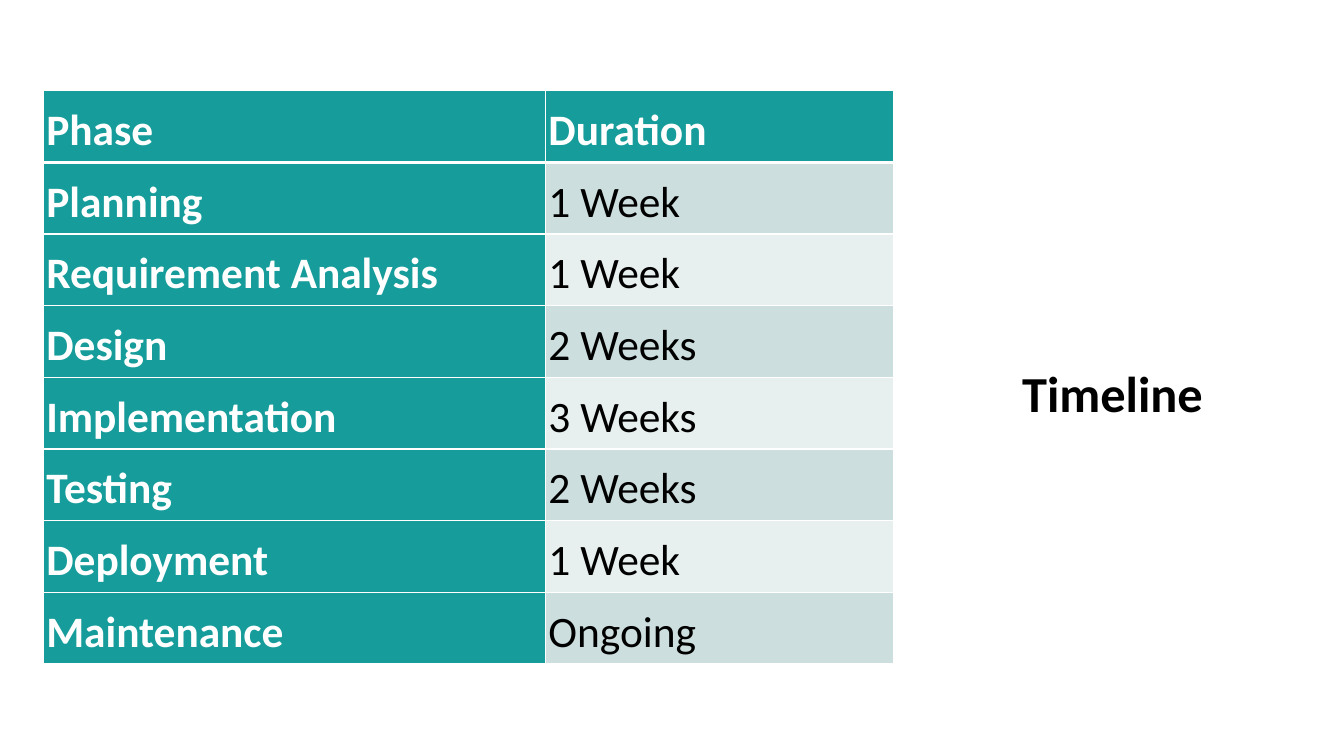
"""Build a slide with a table of project phases beside the title Timeline."""
from pptx import Presentation
from pptx.dml.color import RGBColor
from pptx.enum.text import MSO_ANCHOR, PP_ALIGN
from pptx.oxml import parse_xml
from pptx.oxml.ns import nsdecls
from pptx.util import Inches, Pt

TITLE = "Timeline"
HEADER = ("Phase", "Duration")
PHASES = [
    ("Planning", "1 Week"),
    ("Requirement Analysis", "1 Week"),
    ("Design", "2 Weeks"),
    ("Implementation", "3 Weeks"),
    ("Testing", "2 Weeks"),
    ("Deployment", "1 Week"),
    ("Maintenance", "Ongoing"),
]
THEME = {
    "font": "Calibri", "title": 36, "body": 31,
    "ink": "000000", "paper": "FFFFFF", "teal": "169C9A",
    "bands": ("CCDEDE", "E8EFEF"), "rule": 1, "thick": 3,
}
TITLE_BOX = (9.17, 1.21, 3.73, 3.04)
TABLE_BOX = (0.43, 0.9, 8.43, 5.69)
COLUMNS = (4.98, 3.45)
MARGIN = 0.03


def apply(target, values):
    for name, value in values.items():
        setattr(target, name, value)


def write(para, text, size, color, bold, align, spacing):
    apply(para, {"alignment": align, "line_spacing": spacing})
    run = para.add_run()
    run.text = text
    apply(run.font, {"name": THEME["font"], "size": Pt(size), "bold": bold})
    run.font.color.rgb = RGBColor.from_string(color)


def border(cell, row):
    widths = {"L": THEME["rule"], "R": THEME["rule"],
              "T": THEME["thick"] if row == 1 else THEME["rule"],
              "B": THEME["thick"] if row == 0 else THEME["rule"]}
    props = cell._tc.get_or_add_tcPr()
    for spot, (side, width) in enumerate(widths.items()):
        props.insert(spot, parse_xml(
            f'<a:ln{side} {nsdecls("a")} w="{Pt(width)}"><a:solidFill>'
            f'<a:srgbClr val="{THEME["paper"]}"/></a:solidFill></a:ln{side}>'))


def add_title(slide):
    frame = slide.shapes.add_textbox(*map(Inches, TITLE_BOX)).text_frame
    apply(frame, {"word_wrap": True, "vertical_anchor": MSO_ANCHOR.BOTTOM})
    write(frame.paragraphs[0], TITLE, THEME["title"], THEME["ink"], True,
          PP_ALIGN.CENTER, 0.9)


def add_phases(slide):
    rows = [HEADER, *PHASES]
    table = slide.shapes.add_table(
        len(rows), len(COLUMNS), *map(Inches, TABLE_BOX)).table
    table.first_col = True
    for column, width in zip(table.columns, COLUMNS):
        column.width = Inches(width)
    sides = ("left", "top", "right", "bottom")
    inset = {f"margin_{side}": Inches(MARGIN) for side in sides}
    for row, texts in enumerate(rows):
        for col, text in enumerate(texts):
            cell = table.cell(row, col)
            head = row == 0 or col == 0
            fill = THEME["teal"] if head else THEME["bands"][(row - 1) % 2]
            apply(cell, {"vertical_anchor": MSO_ANCHOR.MIDDLE, **inset})
            cell.fill.solid()
            cell.fill.fore_color.rgb = RGBColor.from_string(fill)
            border(cell, row)
            write(cell.text_frame.paragraphs[0], text, THEME["body"],
                  THEME["paper"] if head else THEME["ink"], head,
                  PP_ALIGN.JUSTIFY, 1.15)


def main():
    deck = Presentation()
    apply(deck, {"slide_width": Inches(13.33), "slide_height": Inches(7.5)})
    slide = deck.slides.add_slide(deck.slide_layouts[6])
    add_title(slide)
    add_phases(slide)
    deck.save("out.pptx")


if __name__ == "__main__":
    main()
